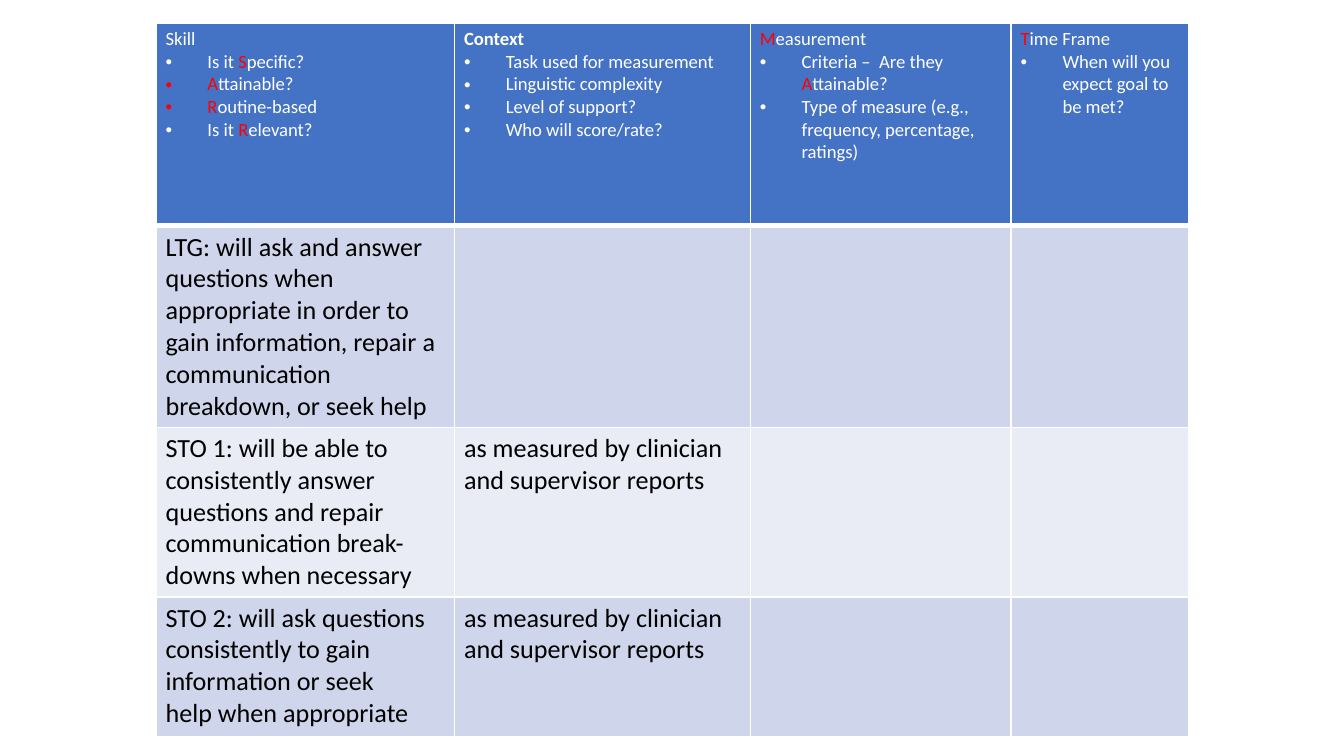
"""Build a goal-planning table slide with SMART prompts in the header row."""
from lxml import etree
from pptx import Presentation
from pptx.dml.color import RGBColor
from pptx.oxml.ns import qn
from pptx.util import Cm, Pt

COLORS = {"header": "4472C4", "dark": "CFD5EA", "light": "E9EBF5",
          "white": "FFFFFF", "black": "000000", "accent": "FF0000"}
FONT = "Calibri"
MARK = "*"  
HEADERS = [
    ["Skill", "Is it *S*pecific?", "*A*ttainable?", "*R*outine-based", "Is it *R*elevant?"],
    ["Context", "Task used for measurement", "Linguistic complexity",
     "Level of support?", "Who will score/rate?"],
    ["*M*easurement", "Criteria –  Are they *A*ttainable?",
     "Type of measure (e.g., frequency, percentage, ratings)"],
    ["*T*ime Frame", "When will you expect goal to be met?"],
]
REPORTS = ["as measured by clinician and supervisor reports"]
GOALS = [
    [["LTG: will ask and answer questions when appropriate in order to gain "
      "information, repair a communication breakdown, or seek help"], [], [], []],
    [["STO 1: will be able to consistently answer questions and repair",
      "communication break-downs when necessary"], REPORTS, [], []],
    [["STO 2: will ask questions consistently to gain information or seek",
      "help when appropriate"], REPORTS, [], []],
]
BOLD_TITLES = {"Context"}
COL_WIDTHS = [5.64, 5.59, 4.93, 3.35]
ROW_HEIGHTS = [3.84, 3.63, 3.05, 2.64]
LEFT, TOP = 2.95, 0.43
INSETS = {"margin_left": 0.18, "margin_right": 0.18, "margin_top": 0.1, "margin_bottom": 0.1}


def rgb(name):
    return RGBColor.from_string(COLORS[name])


def add_bullet(p):
    pPr = p._p.get_or_add_pPr()
    pPr.set("marL", str(Cm(0.79)))
    pPr.set("indent", str(-Cm(0.79)))
    etree.SubElement(pPr, qn("a:buFont")).set("typeface", "Arial")
    etree.SubElement(pPr, qn("a:buChar")).set("char", "•")


def add_borders(cell, widths):
    tcPr = cell._tc.get_or_add_tcPr()
    for i, (side, width) in enumerate(widths.items()):
        ln = etree.Element(qn(f"a:ln{side}"), w=str(Pt(width)))
        fill = etree.SubElement(ln, qn("a:solidFill"))
        etree.SubElement(fill, qn("a:srgbClr")).set("val", COLORS["white"])
        tcPr.insert(i, ln)


def write_cell(cell, lines, is_header):
    tf = cell.text_frame
    for i, line in enumerate(lines):
        p = tf.paragraphs[0] if i == 0 else tf.add_paragraph()
        if is_header and i > 0:
            add_bullet(p)
        for j, text in enumerate(line.split(MARK)):
            if not text:
                continue
            r = p.add_run()
            r.text = text
            style = {"name": FONT, "size": Pt(10 if is_header else 14),
                     "bold": line in BOLD_TITLES}
            for key, value in style.items():
                setattr(r.font, key, value)
            base = "white" if is_header else "black"
            r.font.color.rgb = rgb("accent" if j % 2 else base)


def main():
    prs = Presentation()
    prs.slide_width, prs.slide_height = Cm(25.4), Cm(14.29)
    s = prs.slides.add_slide(prs.slide_layouts[6])
    rows = [HEADERS] + GOALS
    table = s.shapes.add_table(len(rows), len(COL_WIDTHS), Cm(LEFT), Cm(TOP),
                               Cm(sum(COL_WIDTHS)), Cm(sum(ROW_HEIGHTS))).table
    table.horz_banding = False
    for column, width in zip(table.columns, COL_WIDTHS):
        column.width = Cm(width)
    for r, (row, height) in enumerate(zip(rows, ROW_HEIGHTS)):
        table.rows[r].height = Cm(height)
        is_header = r == 0
        fill = "header" if is_header else ("dark" if r % 2 else "light")
        for c, lines in enumerate(row):
            cell = table.cell(r, c)
            for key, value in INSETS.items():
                setattr(cell, key, Cm(value))
            cell.fill.solid()
            cell.fill.fore_color.rgb = rgb(fill)
            add_borders(cell, {"L": 1, "R": 1, "T": 1, "B": 3 if is_header else 1})
            write_cell(cell, lines, is_header)
    prs.save("out.pptx")


if __name__ == "__main__":
    main()
